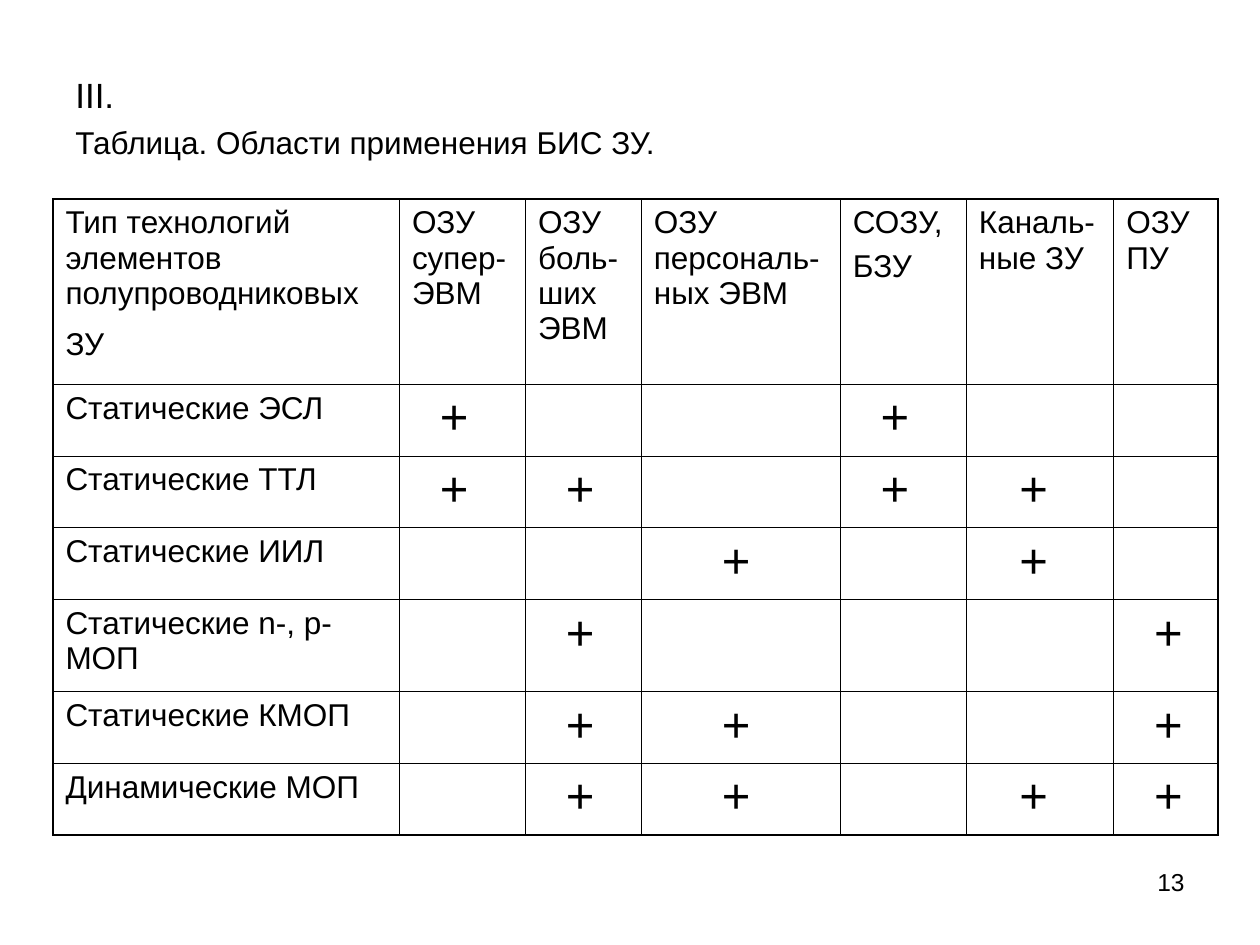
import pptx
import pptx.util
import pptx.dml.color
import pptx.enum.text
import pptx.oxml
import pptx.oxml.ns

Inches, Pt = pptx.util.Inches, pptx.util.Pt

FONT = "Arial"
COLORS = {"text": "000000", "border": "000000"}
OUTER, INNER = 1.08, 0.45

TITLE = [("III.", 20, 0), ("Таблица. Области применения БИС ЗУ.", 18, 4.5)]
PAGE_NUMBER = [("13", 14, 0)]
HEADERS = [
    ["Тип технологий элементов полупроводниковых", "ЗУ"],
    ["ОЗУ супер- ЭВМ"],
    ["ОЗУ боль-ших ЭВМ"],
    ["ОЗУ персональ-ных ЭВМ"],
    ["СОЗУ,", "БЗУ"],
    ["Каналь-ные ЗУ"],
    ["ОЗУ ПУ"],
]
MEMORY_TYPES = [
    ("Статические ЭСЛ", {1, 4}),
    ("Статические ТТЛ", {1, 2, 4, 5}),
    ("Статические ИИЛ", {3, 5}),
    ("Статические n-, p-МОП", {2, 6}),
    ("Статические КМОП", {2, 3, 6}),
    ("Динамические МОП", {2, 3, 5, 6}),
]
COL_WIDTHS = [2.75, 1, 0.92, 1.58, 1, 1.17, 0.83]
ROW_HEIGHTS = [1.47, 0.57, 0.57, 0.57, 0.73, 0.57, 0.57]
PLUS_INDENTS = [0, 0.22, 0.22, 0.54, 0.22, 0.32, 0.22]


def write(tf, lines, align=pptx.enum.text.PP_ALIGN.LEFT, indent=0):
    tf.word_wrap = True
    for i, (text, size, before) in enumerate(lines):
        p = tf.add_paragraph() if i else tf.paragraphs[0]
        p.alignment = align
        p.space_before = Pt(before)
        if indent:
            p._p.get_or_add_pPr().set("marL", str(Inches(indent)))
        r = p.add_run()
        r.text = text
        r.font.name = FONT
        r.font.size = Pt(size)
        r.font.color.rgb = pptx.dml.color.RGBColor.from_string(COLORS["text"])


def set_borders(cell, widths):
    tc_pr = cell._tc.get_or_add_tcPr()
    for side, width in widths.items():
        tc_pr.append(pptx.oxml.parse_xml(
            f'<a:ln{side} {pptx.oxml.ns.nsdecls("a")} w="{Pt(width)}"><a:solidFill>'
            f'<a:srgbClr val="{COLORS["border"]}"/></a:solidFill></a:ln{side}>'))


def cell_content(row, col):
    if row == 0:
        gap = 9 if col == 0 else 4.5
        return [(text, 18, gap if i else 0) for i, text in enumerate(HEADERS[col])]
    name, marks = MEMORY_TYPES[row - 1]
    if col == 0:
        return [(name, 18, 0)]
    return [("+", 28, 0)] if col in marks else []


def add_memory_table(s):
    n_rows, n_cols = len(ROW_HEIGHTS), len(COL_WIDTHS)
    table = s.shapes.add_table(n_rows, n_cols, Inches(0.42), Inches(1.58),
                               Inches(sum(COL_WIDTHS)), Inches(sum(ROW_HEIGHTS))).table
    table.first_row = table.horz_banding = False
    for column, width in zip(table.columns, COL_WIDTHS):
        column.width = Inches(width)
    for row, height in zip(table.rows, ROW_HEIGHTS):
        row.height = Inches(height)
    for row in range(n_rows):
        for col in range(n_cols):
            cell = table.cell(row, col)
            on_edge = {"L": col == 0, "R": col == n_cols - 1,
                       "T": row == 0, "B": row == n_rows - 1}
            set_borders(cell, {side: OUTER if edge else INNER
                               for side, edge in on_edge.items()})
            cell.fill.background()
            write(cell.text_frame, cell_content(row, col),
                  indent=PLUS_INDENTS[col] if row else 0)


def main():
    prs = pptx.Presentation()
    prs.slide_width, prs.slide_height = Inches(10), Inches(7.5)
    s = prs.slides.add_slide(prs.slide_layouts[6])

    number = s.shapes.add_textbox(Inches(7.17), Inches(6.83), Inches(2.33), Inches(0.52))
    write(number.text_frame, PAGE_NUMBER, pptx.enum.text.PP_ALIGN.RIGHT)

    title = s.shapes.add_textbox(Inches(0.5), Inches(0.5), Inches(9.17), Inches(6.2))
    title.text_frame.margin_top = Inches(0.08)
    write(title.text_frame, TITLE)

    add_memory_table(s)
    prs.save("out.pptx")


if __name__ == "__main__":
    main()
